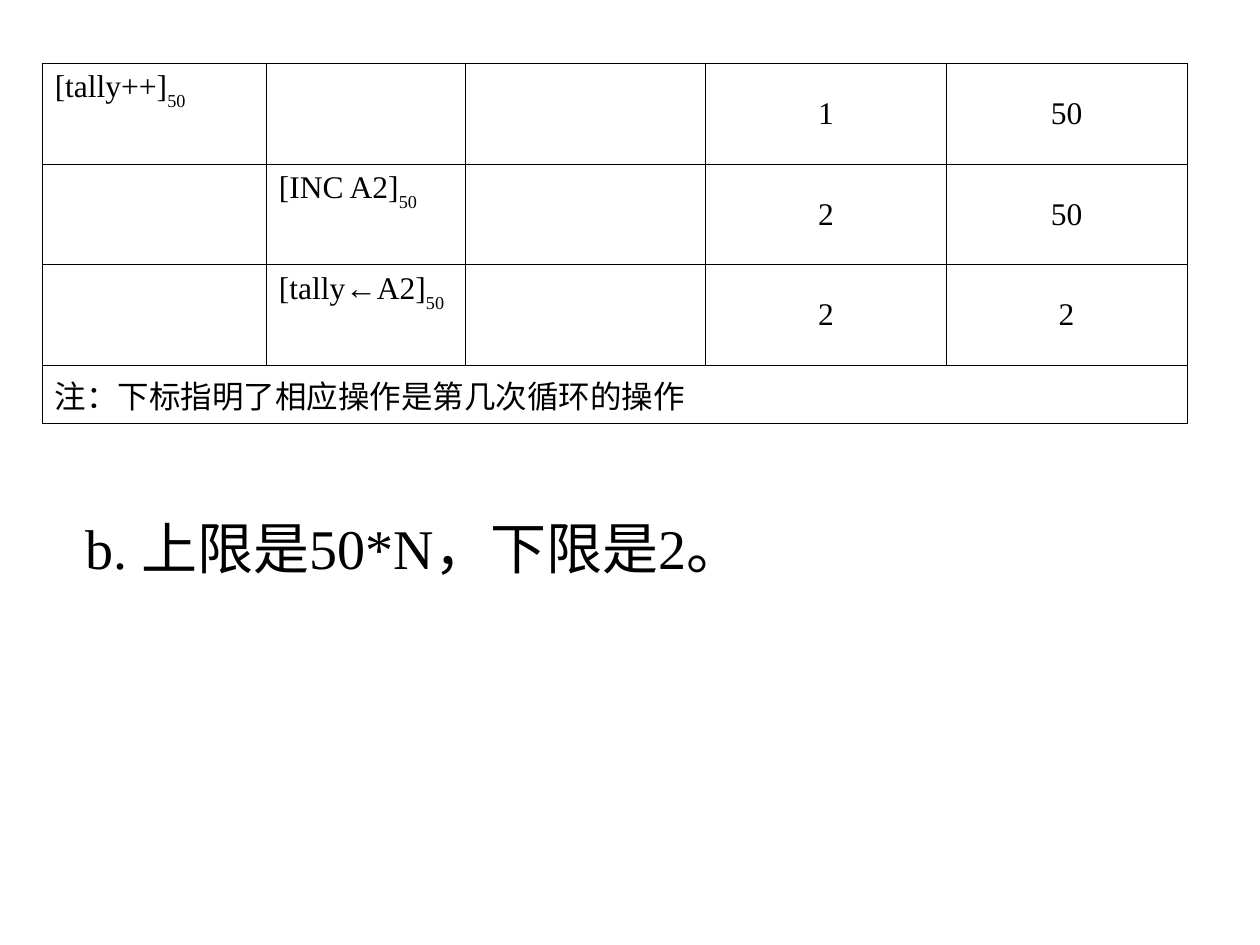
from dataclasses import dataclass

from lxml import etree
from pptx import Presentation
from pptx import util as u
from pptx.dml.color import RGBColor
from pptx.enum import text
from pptx.oxml import ns


@dataclass(frozen=True)
class Theme:
    ink: str = "000000"
    font: str = "Times New Roman"
    arrow_font: str = "Arial"
    cell_size: float = 18
    answer_size: float = 32
    border: float = 0.45


theme = Theme()


def add_run(p, words, size, name=theme.font, subscript=False):
    r = p.add_run()
    r.text = words
    for key, value in {"name": name, "size": u.Pt(size)}.items():
        setattr(r.font, key, value)
    r.font.color.rgb = RGBColor.from_string(theme.ink)
    if subscript:
        r.font._element.set("baseline", "-30000")


def add_borders(cell):
    tc_pr = cell._tc.get_or_add_tcPr()
    for side in ("lnL", "lnR", "lnT", "lnB"):
        ln = etree.SubElement(tc_pr, ns.qn(f"a:{side}"), w=str(u.Pt(theme.border)))
        fill = etree.SubElement(ln, ns.qn("a:solidFill"))
        etree.SubElement(fill, ns.qn("a:srgbClr"), val=theme.ink)


prs = Presentation()
prs.slide_width, prs.slide_height = u.Cm(25.4), u.Cm(19.05)
s = prs.slides.add_slide(prs.slide_layouts[6])

# Trace table: two processes, an empty column, then register and memory values
widths = [4.52, 4.01, 4.85, 4.85, 4.85]
heights = [2.03, 2.03, 2.03, 1.02]
value_columns = (3, 4)
operations = {
    (0, 0): ["[tally++]"],
    (1, 1): ["[INC A2]"],
    (2, 1): ["[tally", "←", "A2]"],
}
loop_number = "50"
values = [("1", "50"), ("2", "50"), ("2", "2")]
note = "注：下标指明了相应操作是第几次循环的操作"

table = s.shapes.add_table(
    len(heights), len(widths), u.Cm(0.85), u.Cm(1.28),
    u.Cm(sum(widths)), u.Cm(sum(heights)),
).table
for flag in ("first_row", "horz_banding"):
    setattr(table, flag, False)
for column, width in zip(table.columns, widths):
    column.width = u.Cm(width)
for row, height in zip(table.rows, heights):
    row.height = u.Cm(height)
for row in table.rows:
    for cell in row.cells:
        add_borders(cell)
        cell.fill.background()

for (row, column), parts in operations.items():
    p = table.cell(row, column).text_frame.paragraphs[0]
    for part in parts:
        add_run(p, part, theme.cell_size, theme.arrow_font if part == "←" else theme.font)
    add_run(p, loop_number, theme.cell_size, subscript=True)

for row, pair in enumerate(values):
    for column, value in zip(value_columns, pair):
        cell = table.cell(row, column)
        cell.vertical_anchor = text.MSO_ANCHOR.MIDDLE
        p = cell.text_frame.paragraphs[0]
        p.alignment = text.PP_ALIGN.CENTER
        add_run(p, value, theme.cell_size)

note_row = len(values)
note_cell = table.cell(note_row, 0)
note_cell.merge(table.cell(note_row, len(widths) - 1))
add_run(note_cell.text_frame.paragraphs[0], note, theme.cell_size)

# Answer to part b
sp = s.shapes.add_textbox(u.Cm(1.47), u.Cm(10.21), u.Cm(14.17), u.Cm(1.63))
tf = sp.text_frame
frame_format = {
    "word_wrap": True,
    "auto_size": text.MSO_AUTO_SIZE.SHAPE_TO_FIT_TEXT,
    "vertical_anchor": text.MSO_ANCHOR.MIDDLE,
}
for key, value in frame_format.items():
    setattr(tf, key, value)
add_run(tf.paragraphs[0], "b. 上限是50*N，下限是2。", theme.answer_size)

prs.save("out.pptx")
